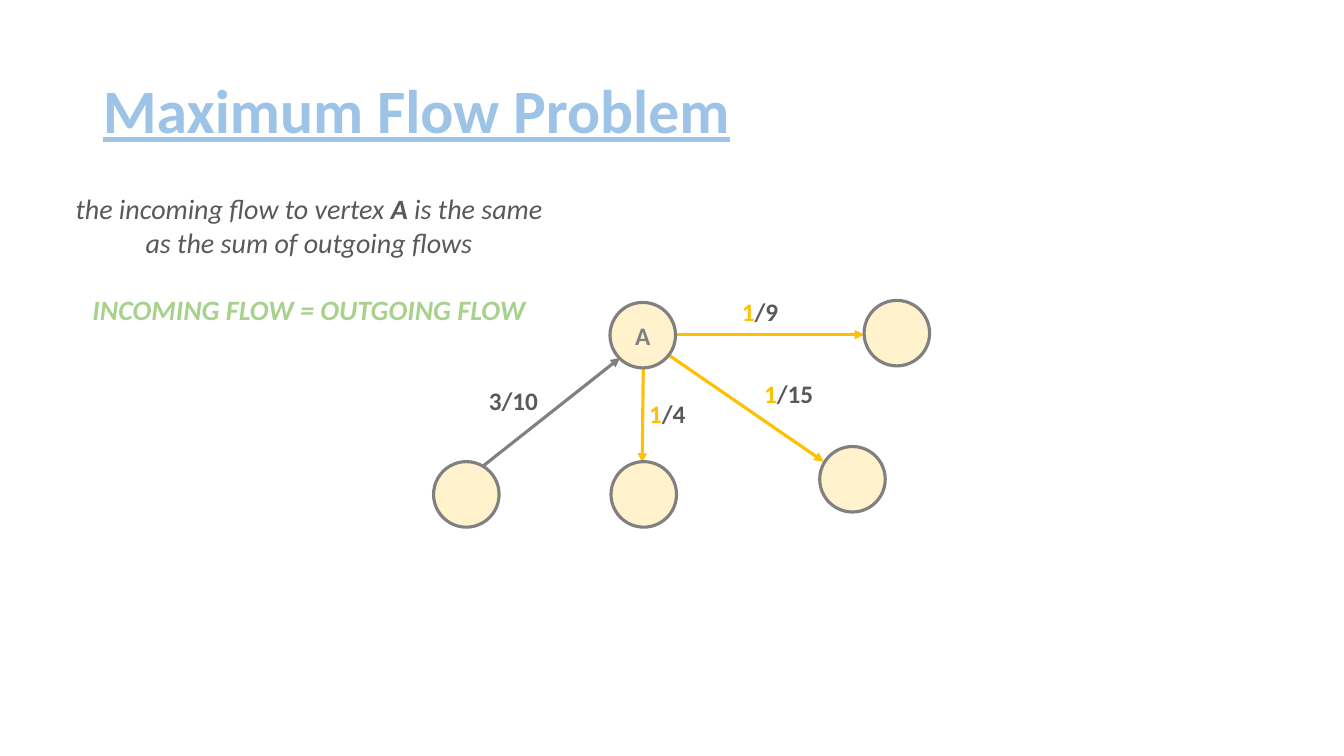
from lxml import etree
from pptx import Presentation
from pptx.dml.color import RGBColor
from pptx.enum.shapes import MSO_CONNECTOR, MSO_SHAPE
from pptx.enum.text import MSO_ANCHOR, MSO_AUTO_SIZE, PP_ALIGN
from pptx.oxml.ns import qn
from pptx.util import Inches, Pt

STRAIGHT, OVAL = MSO_CONNECTOR.STRAIGHT, MSO_SHAPE.OVAL
LEFT, CENTER = PP_ALIGN.LEFT, PP_ALIGN.CENTER
MIDDLE = MSO_ANCHOR.MIDDLE
FIT_SHAPE = MSO_AUTO_SIZE.SHAPE_TO_FIT_TEXT

FONT = "Calibri"
BLUE, GREEN, AMBER = "9DC3E6", "A9D18E", "FFC000"
CREAM, GRAY, DARK = "FFF2CC", "808080", "595959"
NODE_SIZE = 0.65
LINE_WIDTH = 2.25

# Places in the network are offsets in inches from its top left corner.
NODES = [
    (1.75, 0.11, "A"),
    (4.27, 0.09, ""),
    (3.83, 1.54, ""),
    (1.76, 1.69, ""),
    (0, 1.69, ""),
]
EDGES = [
    ((2.3, 0.61), (3.87, 1.69), AMBER),
    ((0.42, 1.79), (1.85, 0.66), GRAY),
    ((2.08, 0.76), (2.07, 1.7), AMBER),
    ((2.4, 0.43), (4.27, 0.43), AMBER),
]
FLOW_LABELS = [
    (0.45, 0.88, 0.69, "", "3/10"),
    (3.18, 0.81, 0.69, "1", "/15"),
    (2.96, 0, 0.57, "1", "/9"),
    (2.04, 1.01, 0.57, "1", "/4"),
]


def rgb(color):
    return RGBColor.from_string(color)


def format_font(font, size, color, bold=None, italic=None):
    font.name, font.size = FONT, Pt(size)
    font.color.rgb = rgb(color)
    font.bold, font.italic = bold, italic


def add_text_box(slide, left, top, width, height):
    """Return the text frame of a box that fits its unwrapped text."""
    box = slide.shapes.add_textbox(
        Inches(left), Inches(top), Inches(width), Inches(height))
    box.text_frame.word_wrap = False
    box.text_frame.auto_size = FIT_SHAPE
    return box.text_frame


def set_title(slide, left, top, width, height):
    title = slide.shapes.title
    title.left, title.top = Inches(left), Inches(top)
    title.width, title.height = Inches(width), Inches(height)
    title.text_frame.vertical_anchor = MIDDLE
    paragraph = title.text_frame.paragraphs[0]
    paragraph.text = "Maximum Flow Problem"
    paragraph.alignment, paragraph.line_spacing = LEFT, 0.9
    format_font(paragraph.font, 44, BLUE, bold=True)
    paragraph.font.underline = True


def add_statement(slide, left, top, width, height):
    frame = add_text_box(slide, left, top, width, height)
    first = frame.paragraphs[0]
    for text in ("the incoming flow to vertex ", "A", " is the same"):
        run = first.add_run()
        run.text = text
        if text == "A":
            run.font.bold = True
    second = frame.add_paragraph()
    second.text = "as the sum of outgoing flows"
    for paragraph in (first, second):
        paragraph.alignment = CENTER
        format_font(paragraph.font, 20, DARK, italic=True)
    rule = frame.add_paragraph()
    rule.text = "INCOMING FLOW = OUTGOING FLOW"
    rule.alignment, rule.space_before = CENTER, Pt(24)
    format_font(rule.font, 20, GREEN, bold=True, italic=True)


def add_edge(slide, left, top, start, end, color):
    edge = slide.shapes.add_connector(
        STRAIGHT, Inches(left + start[0]), Inches(top + start[1]),
        Inches(left + end[0]), Inches(top + end[1]))
    edge.line.color.rgb = rgb(color)
    edge.line.width = Pt(LINE_WIDTH)
    etree.SubElement(edge.line._get_or_add_ln(), qn("a:tailEnd"), type="triangle")
    etree.SubElement(edge._element.spPr, qn("a:effectLst"))


def add_node(slide, left, top, name):
    node = slide.shapes.add_shape(
        OVAL, Inches(left), Inches(top), Inches(NODE_SIZE), Inches(NODE_SIZE))
    node.shadow.inherit = False
    node.fill.solid()
    node.fill.fore_color.rgb = rgb(CREAM)
    node.line.color.rgb = rgb(GRAY)
    node.line.width = Pt(LINE_WIDTH)
    if name:
        node.text_frame.vertical_anchor = MIDDLE
        paragraph = node.text_frame.paragraphs[0]
        paragraph.text, paragraph.alignment = name, CENTER
        format_font(paragraph.font, 18, GRAY, bold=True)


def add_flow_label(slide, left, top, width, flow, capacity):
    paragraph = add_text_box(slide, left, top, width, 0.4).paragraphs[0]
    format_font(paragraph.font, 18, DARK, bold=True)
    if flow:
        run = paragraph.add_run()
        run.text = flow
        run.font.color.rgb = rgb(AMBER)
    paragraph.add_run().text = capacity


def add_network(slide, left, top):
    for start, end, color in EDGES:
        add_edge(slide, left, top, start, end, color)
    for x, y, name in NODES:
        add_node(slide, left + x, top + y, name)
    for x, y, width, flow, capacity in FLOW_LABELS:
        add_flow_label(slide, left + x, top + y, width, flow, capacity)


def main():
    presentation = Presentation()
    presentation.slide_width = Inches(13.33)
    presentation.slide_height = Inches(7.5)
    slide = presentation.slides.add_slide(presentation.slide_layouts[5])
    set_title(slide, 0.92, 0.4, 11.5, 1.45)
    add_network(slide, 4.3, 2.89)
    add_statement(slide, 0.63, 1.85, 4.87, 1.45)
    presentation.save("out.pptx")


if __name__ == "__main__":
    main()
